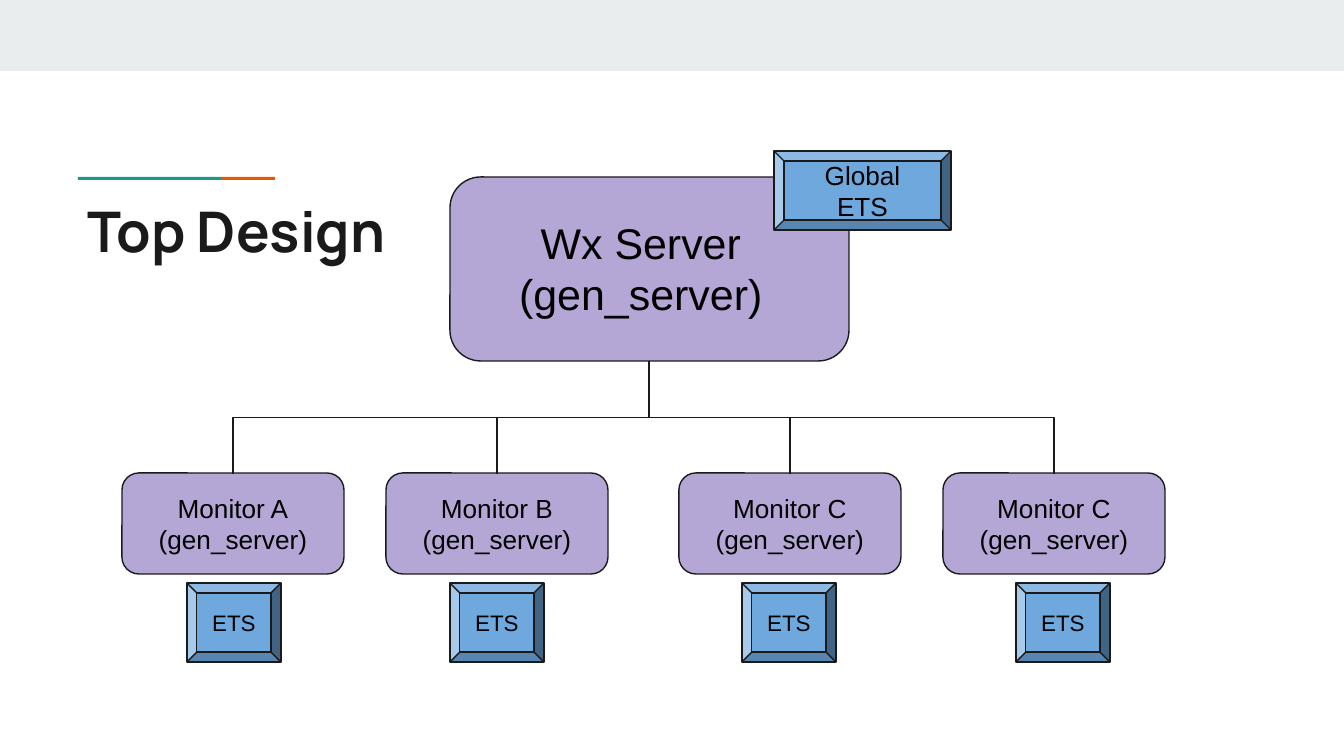
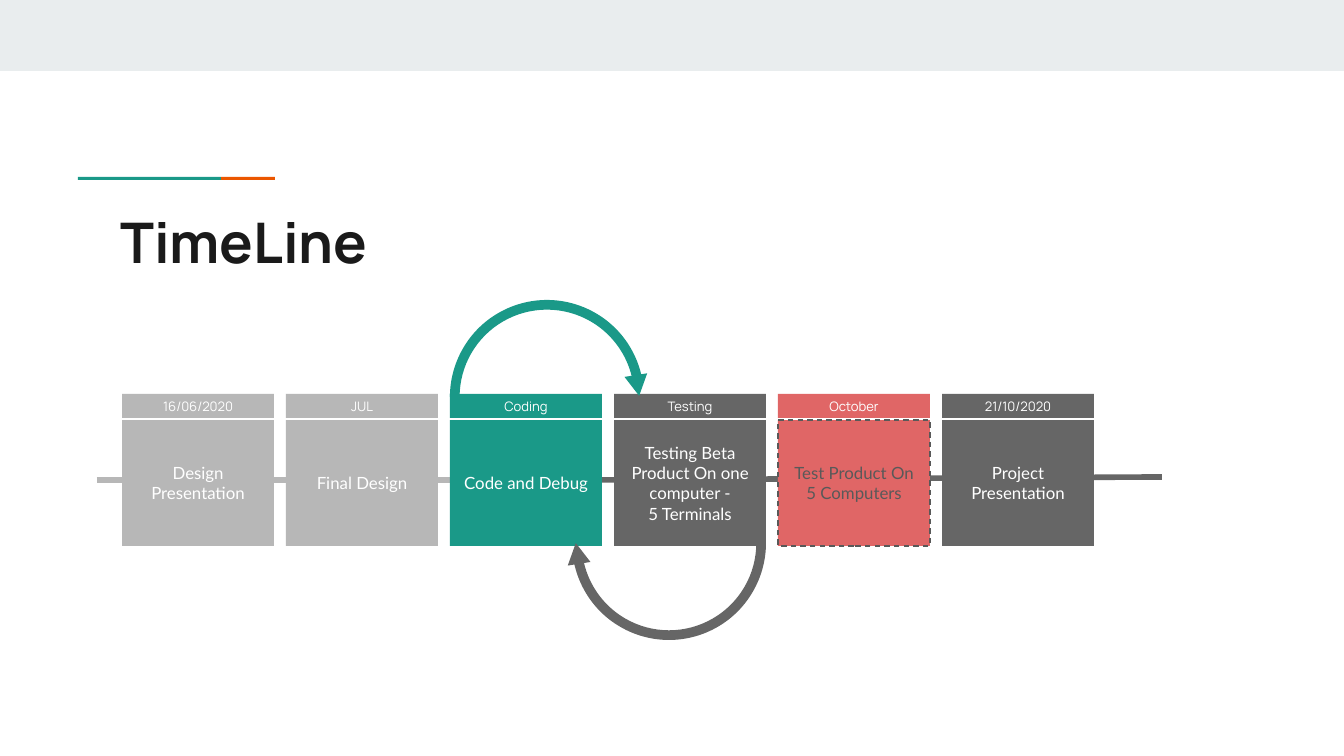
from lxml import etree
from pptx import Presentation
from pptx import util as u
from pptx.dml.color import RGBColor
from pptx.enum import dml, shapes, text
from pptx.oxml import ns

PX = 9144000 / 1344  # one px in EMU
BAND = RGBColor(0xE9, 0xED, 0xEE)
TEAL = RGBColor(0x1A, 0x99, 0x88)
ORANGE = RGBColor(0xEB, 0x56, 0x00)
INK = RGBColor(0x1A, 0x1A, 0x1A)
BLACK = RGBColor(0, 0, 0)
WHITE = RGBColor(255, 255, 255)
PURPLE = RGBColor(0xB4, 0xA7, 0xD6)
BLUE = RGBColor(0x6F, 0xA8, 0xDC)
DARK = RGBColor(0x66, 0x66, 0x66)
GREY = RGBColor(0xB7, 0xB7, 0xB7)
RED = RGBColor(0xE0, 0x66, 0x66)
SLATE = RGBColor(0x59, 0x59, 0x59)

KIND = shapes.MSO_SHAPE
LINK = shapes.MSO_CONNECTOR
ALIGN = text.PP_ALIGN
ANCHOR = text.MSO_ANCHOR


def write(shape, words, size=14, font="Arial", color=BLACK, bold=False,
          align=ALIGN.CENTER, anchor=ANCHOR.MIDDLE):
    frame = shape.text_frame
    frame.word_wrap = True
    frame.vertical_anchor = anchor
    frame.margin_left = frame.margin_right = u.Inches(0.1)
    frame.margin_top = frame.margin_bottom = u.Inches(0.1)
    frame.text = words
    for para in frame.paragraphs:
        para.alignment = align
        face = para.font
        face.size, face.name, face.bold = u.Pt(size), font, bold
        face.color.rgb = color


def box(slide, kind, at, fill, line=None, adj=()):
    shape = slide.shapes.add_shape(kind, *[round(v * PX) for v in at])
    shape.shadow.inherit = False
    shape.fill.solid()
    shape.fill.fore_color.rgb = fill
    if line is None:
        shape.line.fill.background()
    else:
        shape.line.color.rgb = line
        shape.line.width = u.Pt(0.75)
    for i, value in enumerate(adj):
        shape.adjustments[i] = value
    return shape


deck = Presentation()
deck.slide_width, deck.slide_height = round(1344 * PX), round(756 * PX)

# Shared band, accent rule and title
pages = []
for name, at in [("Top Design", (74, 183, 331, 79)),
                 ("TimeLine", (107, 194, 1130, 79))]:
    page = deck.slides.add_slide(deck.slide_layouts[6])
    box(page, KIND.RECTANGLE, (0, 0, 1344, 71), BAND)
    box(page, KIND.RECTANGLE, (221, 177, 54, 3), ORANGE)
    box(page, KIND.RECTANGLE, (78, 177, 143, 3), TEAL)
    title = page.shapes.add_textbox(*[round(v * PX) for v in at])
    write(title, name, size=30, font="Manrope", color=INK, bold=True,
          align=ALIGN.LEFT, anchor=ANCHOR.TOP)
    pages.append(page)
design, plan = pages

# Server tree: monitors, links and their tables
ROUND = [0.167]
box(design, KIND.ROUNDED_RECTANGLE, (450, 177, 399, 184), PURPLE, INK, ROUND)
root, top, drop = 649, 361, 113
for left, store, name in [(122, 187, "Monitor A"), (386, 450, "Monitor B"),
                          (679, 742, "Monitor C"), (943, 1016, "Monitor C")]:
    node = box(design, KIND.ROUNDED_RECTANGLE, (left, 473, 222, 101),
               PURPLE, INK, ROUND)
    write(node, name + "\n(gen_server)")
    cell = box(design, KIND.BEVEL, (store, 583, 94, 79), BLUE, INK)
    write(cell, "ETS", size=12)

    # An elbow leaves downwards once its frame is turned a quarter
    end = left + 111
    mid, half = (root + end) / 2, abs(end - root) / 2
    side = drop / 2 if end > root else -drop / 2
    ends = (mid + side, top + drop / 2 - half, mid - side, top + drop / 2 + half)
    link = design.shapes.add_connector(LINK.ELBOW, *[round(v * PX) for v in ends])
    turn = 270 if end > root else 90
    link.element.spPr.find(ns.qn("a:xfrm")).set("rot", str(turn * 60000))
    link.line.color.rgb = INK
    link.line.width = u.Pt(0.75)

write(box(design, KIND.BEVEL, (774, 151, 177, 79), BLUE, INK), "Global ETS")
label = design.shapes.add_textbox(*[round(v * PX) for v in (493, 203, 296, 102)])
write(label, "Wx Server\n(gen_server)", size=23, anchor=ANCHOR.TOP)

# Timeline rules
for ends, color in [((598, 480, 1162, 477), DARK), ((97, 480, 570, 480), GREY)]:
    rule = plan.shapes.add_connector(LINK.STRAIGHT, *[round(v * PX) for v in ends])
    rule.line.color.rgb = color
    rule.line.width = u.Pt(3)

# Timeline steps
steps = [("16/06/2020", "Design Presentation", GREY),
         ("JUL", "Final Design", GREY),
         ("Coding", "Code and Debug", TEAL),
         ("Testing", "Testing Beta Product On one computer -\n5 Terminals", DARK),
         ("October", "Test Product On 5 Computers", RED),
         ("21/10/2020", "Project Presentation", DARK)]
for i, (date, task, color) in enumerate(steps):
    left = 122 + 164 * i
    late = color == RED
    body = box(plan, KIND.RECTANGLE, (left, 420, 152, 126), color,
               SLATE if late else None)
    if late:
        body.line.dash_style = dml.MSO_LINE.DASH
    write(body, task, size=9, font="Lato", color=SLATE if late else WHITE)
    head = box(plan, KIND.RECTANGLE, (left, 394, 152, 24), color)
    write(head, date, size=7, font="Manrope", color=WHITE)

# Loop arrows between coding and testing
for arc, tip, turn, color in [((450, 300, 194, 194), (626, 375, 23, 21), 0, TEAL),
                              ((572, 446, 194, 194), (566, 543, 23, 21), 180, DARK)]:
    bow = box(plan, KIND.BLOCK_ARC, arc, color, adj=(108, 211.46, 0.05))
    bow.rotation = turn
    point = box(plan, KIND.ISOSCELES_TRIANGLE, tip, color)
    point.rotation = turn + 171

# Connectors carry no shadow
for page in pages:
    for shape in page.shapes:
        if shape.shape_type == shapes.MSO_SHAPE_TYPE.LINE:
            etree.SubElement(shape.element.spPr, ns.qn("a:effectLst"))

deck.save("out.pptx")
